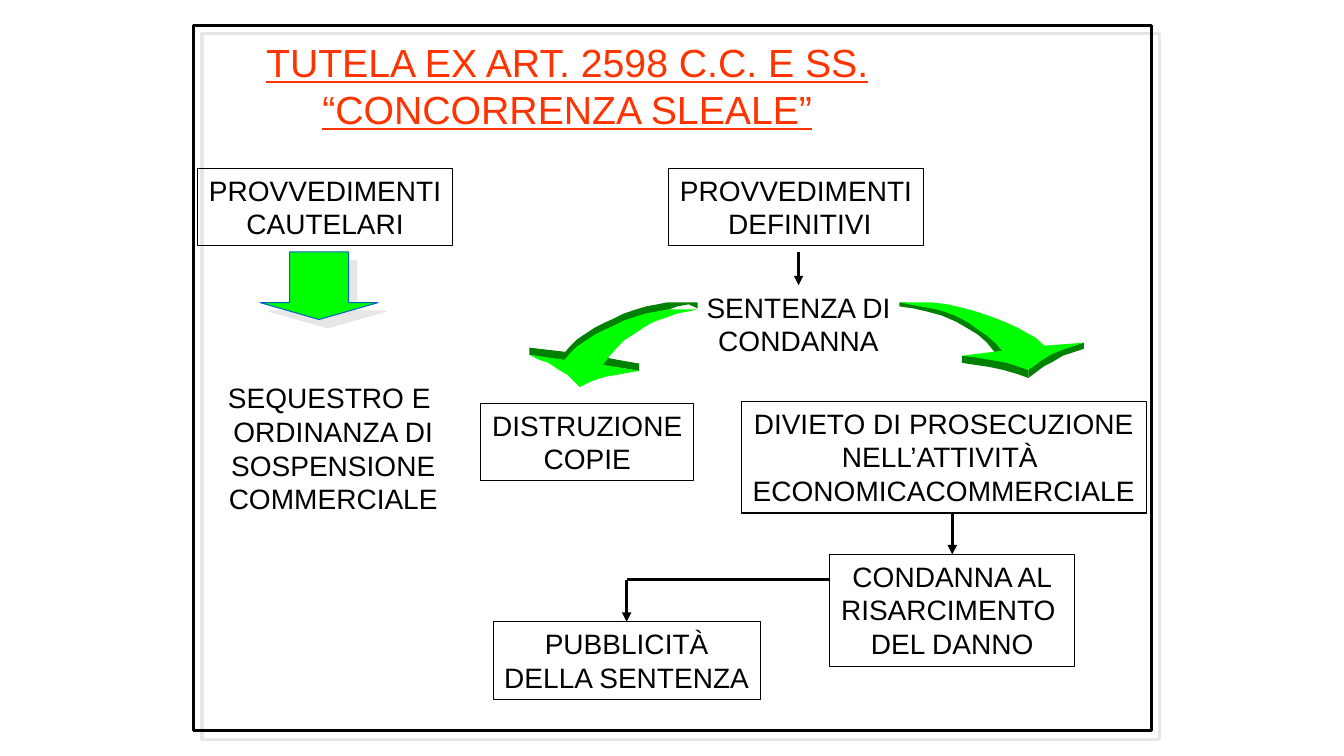
from typing import NamedTuple

from lxml import etree
from pptx import Presentation
from pptx import util as u
from pptx.dml import color
from pptx.enum import shapes, text
from pptx.oxml import ns

FONT = "Arial"
BLACK, RED, BLUE = "000000", "FF3300", "0563C1"
LIME, GREEN, GREY = "00FF00", "008000", "E7E6E6"

Point = tuple[float, float]


class Box(NamedTuple):
    x: float
    y: float
    w: float
    h: float
    lines: list[str]
    framed: bool = True


class Face(NamedTuple):
    hue: str
    points: list[Point]
    drop: float = 0


# Text boxes of the diagram
INTERIM = Box(1.96, 1.67, 2.53, 0.77, ["PROVVEDIMENTI", "CAUTELARI"])
FINAL = Box(6.63, 1.67, 2.53, 0.77, ["PROVVEDIMENTI", " DEFINITIVI"])
VERDICT = Box(6.9, 2.83, 2.04, 0.77, ["SENTENZA DI", "CONDANNA"], False)
DESTROY = Box(4.77, 4, 2.11, 0.77, ["DISTRUZIONE", "COPIE"])
BAN = Box(7.35, 3.98, 4.02, 1.11,
          ["DIVIETO DI PROSECUZIONE", "NELL’ATTIVITÀ ", "ECONOMICACOMMERCIALE"])
DAMAGES = Box(8.23, 5.5, 2.43, 1.11, ["CONDANNA AL", "RISARCIMENTO ", "DEL DANNO"])
NOTICE = Box(4.89, 6.17, 2.65, 0.77, ["PUBBLICITÀ", "DELLA SENTENZA"])
SEIZURE = Box(2.15, 3.73, 2.31, 1.45,
              ["SEQUESTRO E ", "ORDINANZA DI", "SOSPENSIONE", "COMMERCIALE"], False)
BOXES = [INTERIM, FINAL, VERDICT, DESTROY, BAN, DAMAGES, NOTICE, SEIZURE]

# Curved arrow to the right: three dark edges under a bright face
RIGHT = [
    Face(GREEN, [(8.92, 3), (8.92, 3.04), (9.06, 3.06), (9.19, 3.09), (9.34, 3.13),
                 (9.48, 3.19), (9.6, 3.26), (9.7, 3.32), (9.79, 3.4), (9.87, 3.5),
                 (9.98, 3.49), (9.89, 3.38), (9.76, 3.28), (9.66, 3.2), (9.55, 3.14),
                 (9.43, 3.09), (9.33, 3.06), (9.2, 3.03), (9.09, 3.01)]),
    Face(GREEN, [(10.2, 3.67), (10.2, 3.75), (10.28, 3.69), (10.36, 3.63), (10.44, 3.59),
                 (10.54, 3.53), (10.63, 3.5), (10.75, 3.46), (10.75, 3.4), (10.6, 3.44),
                 (10.49, 3.47), (10.41, 3.51), (10.33, 3.56), (10.26, 3.61)]),
    Face(GREEN, [(9.54, 3.53), (9.54, 3.6), (9.67, 3.62), (9.81, 3.64), (9.95, 3.67),
                 (10.09, 3.71), (10.2, 3.75), (10.2, 3.67), (10.07, 3.62), (9.89, 3.57),
                 (9.69, 3.54)]),
    Face(LIME, [(8.92, 3), (9.13, 3), (9.24, 3), (9.4, 3.02), (9.53, 3.05), (9.65, 3.08),
                (9.77, 3.12), (9.88, 3.16), (9.98, 3.2), (10.09, 3.25), (10.18, 3.3),
                (10.27, 3.35), (10.36, 3.43), (10.75, 3.4), (10.63, 3.44), (10.54, 3.47),
                (10.44, 3.51), (10.34, 3.57), (10.27, 3.62), (10.2, 3.67), (10.11, 3.64),
                (9.99, 3.6), (9.88, 3.58), (9.76, 3.56), (9.64, 3.54), (9.54, 3.53),
                (9.94, 3.48), (9.88, 3.41), (9.79, 3.33), (9.7, 3.27), (9.62, 3.21),
                (9.55, 3.17), (9.47, 3.13), (9.39, 3.1), (9.29, 3.07), (9.18, 3.05),
                (9.07, 3.03)]),
]

# Curved arrow to the left: one outline drawn dark, then bright and lower
CURVE = [(6.92, 3), (6.72, 3), (6.62, 3), (6.52, 3.02), (6.41, 3.04), (6.31, 3.07),
         (6.19, 3.11), (6.09, 3.16), (6, 3.2), (5.9, 3.25), (5.81, 3.31), (5.72, 3.37),
         (5.65, 3.44), (5.6, 3.5), (5.25, 3.45), (5.35, 3.5), (5.44, 3.53), (5.5, 3.57),
         (5.56, 3.61), (5.63, 3.65), (5.69, 3.71), (5.75, 3.77), (5.83, 3.73),
         (5.9, 3.7), (6, 3.67), (6.11, 3.65), (6.22, 3.63), (6.35, 3.61), (5.98, 3.55),
         (6.04, 3.47), (6.12, 3.38), (6.2, 3.3), (6.28, 3.25), (6.37, 3.19),
         (6.45, 3.14), (6.52, 3.11), (6.61, 3.08), (6.72, 3.04), (6.83, 3.02)]
LEFT = [
    Face(GREEN, CURVE + [(6.92, 3.06)]),
    Face(GREEN, [(6.34, 3.61), (6.34, 3.68), (5.98, 3.62), (5.99, 3.59), (6.02, 3.55)]),
    Face(GREEN, [(5.25, 3.45), (5.25, 3.52), (5.6, 3.58), (5.6, 3.49)]),
    Face(LIME, CURVE, 0.07),
]


def rgb(code: str) -> color.RGBColor:
    return color.RGBColor.from_string(code)


def frame_of(x: float, y: float, w: float, h: float) -> list[u.Length]:
    return [u.Inches(v) for v in (x, y, w, h)]


def ink(line, code: str, width: float) -> None:
    line.color.rgb = rgb(code)
    line.width = u.Pt(width)


def shade(shape) -> None:
    """Give the shape a hard grey shadow down to the right."""
    shape.shadow.inherit = False
    list_ = shape._element.spPr.find(ns.qn("a:effectLst"))
    cast = etree.SubElement(list_, ns.qn("a:outerShdw"), dist=str(u.Pt(8.5)),
                            dir="2700000", algn="ctr", rotWithShape="0")
    etree.SubElement(cast, ns.qn("a:srgbClr"), val=GREY)


def write(frame, lines: list[str], size: float, code: str, line_under: bool = False) -> None:
    for i, words in enumerate(lines):
        para = frame.paragraphs[0] if i == 0 else frame.add_paragraph()
        para.alignment = text.PP_ALIGN.CENTER
        run = para.add_run()
        run.text = words
        run.font.name, run.font.size = FONT, u.Pt(size)
        run.font.color.rgb = rgb(code)
        if line_under:
            run.font.underline = True


def add_box(slide, box: Box):
    area = frame_of(*box[:4])
    if box.framed:
        shape = slide.shapes.add_shape(shapes.MSO_SHAPE.RECTANGLE, *area)
        shape.fill.background()
        shape.shadow.inherit = False
        ink(shape.line, BLACK, 0.75)
    else:
        shape = slide.shapes.add_textbox(*area)
    frame = shape.text_frame
    frame.word_wrap = False
    frame.auto_size = text.MSO_AUTO_SIZE.SHAPE_TO_FIT_TEXT
    frame.vertical_anchor = text.MSO_ANCHOR.TOP
    write(frame, box.lines, 20, BLACK)
    return shape


def add_line(slide, start: Point, end: Point, head: bool = True):
    ends = [u.Inches(v) for v in start + end]
    line = slide.shapes.add_connector(shapes.MSO_CONNECTOR.STRAIGHT, *ends)
    ink(line.line, BLACK, 2.25)
    props = line._element.spPr
    if head:
        etree.SubElement(props.find(ns.qn("a:ln")), ns.qn("a:tailEnd"), type="triangle")
    etree.SubElement(props, ns.qn("a:effectLst"))
    return line


def add_curve(slide, faces: list[Face]) -> None:
    group = slide.shapes.add_group_shape()
    for face in faces:
        dots = [(u.Inches(x), u.Inches(y + face.drop)) for x, y in face.points]
        pen = group.shapes.build_freeform(*dots[0])
        pen.add_line_segments(dots[1:], close=True)
        shape = pen.convert_to_shape()
        shape.fill.solid()
        shape.fill.fore_color.rgb = rgb(face.hue)
        shape.line.fill.background()
        shape.shadow.inherit = False


def main() -> None:
    deck = Presentation()
    deck.slide_width, deck.slide_height = u.Inches(13.33), u.Inches(7.5)
    slide = deck.slides.add_slide(deck.slide_layouts[6])

    # Border and title
    border = slide.shapes.add_shape(shapes.MSO_SHAPE.RECTANGLE, *frame_of(1.92, 0.25, 9.5, 7))
    border.fill.background()
    ink(border.line, BLACK, 2.25)
    shade(border)
    title = slide.shapes.add_textbox(*frame_of(2, 0.33, 7.25, 1.03)).text_frame
    title.word_wrap = True
    write(title, ["TUTELA EX ART. 2598 C.C. E SS.", "“CONCORRENZA SLEALE”"], 28, RED, True)

    # Boxes
    drawn = [add_box(slide, box) for box in BOXES]

    # Block arrow
    block = slide.shapes.add_shape(shapes.MSO_SHAPE.DOWN_ARROW, *frame_of(2.58, 2.5, 1.17, 0.67))
    block.adjustments[0], block.adjustments[1] = 0.5, 0.25
    block.fill.solid()
    block.fill.fore_color.rgb = rgb(LIME)
    ink(block.line, BLUE, 0.75)
    shade(block)

    # Straight arrows, each ending at the top middle of its box
    add_line(slide, (NOTICE.x + NOTICE.w / 2, 5.75), (DAMAGES.x, 5.75), head=False)
    for goal, top in ((NOTICE, 5.75), (DAMAGES, 5.09), (VERDICT, 2.5)):
        mid = goal.x + goal.w / 2
        line = add_line(slide, (mid, top), (mid, goal.y))
        line.end_connect(drawn[BOXES.index(goal)], 0)

    # Curved arrows
    add_curve(slide, RIGHT)
    add_curve(slide, LEFT)

    deck.save("out.pptx")


if __name__ == "__main__":
    main()
